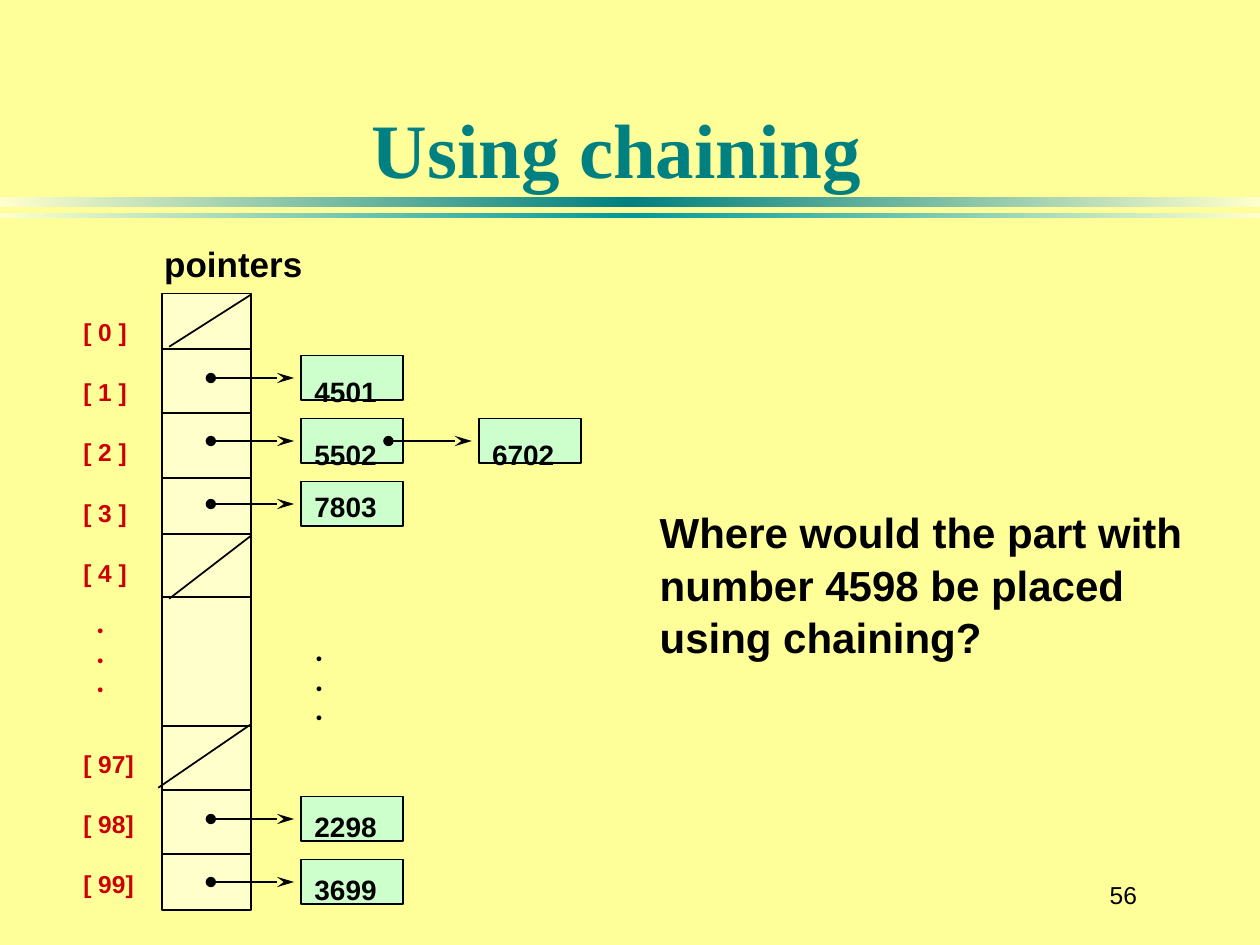
from copy import deepcopy

from lxml.etree import SubElement
from pptx import Presentation
from pptx.dml.color import RGBColor
from pptx.enum.shapes import MSO_CONNECTOR, MSO_SHAPE
from pptx.enum.text import PP_ALIGN
from pptx.oxml.ns import qn
from pptx.util import Cm, Pt

BLACK, RED, TEAL = "000000", "CC0000", "008080"
PALE, MINT = "FFFFCC", "CCFFCC"
STEP = 1.27


def paint(color, code):
    """Set a colour from a hex string."""
    color.rgb = RGBColor.from_string(code)


def write(slide, box, lines, size, code=BLACK, bold=True, font="Arial",
          align=PP_ALIGN.LEFT, gap=0):
    """Place lines of text in a box with no margins."""
    frame = slide.shapes.add_textbox(*map(Cm, box)).text_frame
    frame.word_wrap = True
    frame.margin_left = frame.margin_right = 0
    frame.margin_top = frame.margin_bottom = 0
    for i, line in enumerate(lines):
        para = frame.paragraphs[0] if i == 0 else frame.add_paragraph()
        para.text = line
        para.alignment = align
        para.space_before = Pt(gap if i else 0)
        para.font.name, para.font.size, para.font.bold = font, Pt(size), bold
        paint(para.font.color, code)


def block(slide, box, code):
    """Draw a filled box with a thin black edge."""
    shape = slide.shapes.add_shape(MSO_SHAPE.RECTANGLE, *map(Cm, box))
    shape.shadow.inherit = False
    shape.fill.solid()
    paint(shape.fill.fore_color, code)
    shape.line.width = Pt(1)
    paint(shape.line.color, BLACK)


def stroke(slide, start, end, arrow=False):
    """Draw a line, with a dot and an arrowhead if asked."""
    line = slide.shapes.add_connector(
        MSO_CONNECTOR.STRAIGHT, *map(Cm, (*start, *end)))
    line.line.width = Pt(1)
    paint(line.line.color, BLACK)
    if arrow:
        edge = line.line._get_or_add_ln()
        SubElement(edge, qn("a:headEnd"), type="oval", w="med", len="med")
        SubElement(edge, qn("a:tailEnd"), type="stealth", w="med", len="lg")
    SubElement(line._element.spPr, qn("a:effectLst"))


def band(slide, box, code):
    """Draw a bar that fades out to both sides."""
    bar = slide.shapes.add_shape(MSO_SHAPE.RECTANGLE, *map(Cm, box))
    bar.shadow.inherit = False
    bar.line.fill.background()
    bar.fill.gradient()
    bar.fill.gradient_angle = 0
    first = next(bar._element.spPr.iter(qn("a:gs")))
    first.addnext(deepcopy(first))
    for stop, place, tint in zip(bar.fill.gradient_stops, (0, 0.5, 1),
                                 (PALE, code, PALE)):
        stop.position = place
        paint(stop.color, tint)


def header(slide, box):
    """Place the title and the two bars below it."""
    x, y, w, h = box
    band(slide, (x, y + h, w, 0.2), TEAL)
    band(slide, (x, y + h + 0.33, w, 0.1), "009999")
    write(slide, (x + 0.61, y + 2.05, 23.65, 1.8), ["Using chaining"], 44,
          TEAL, font="Times New Roman", align=PP_ALIGN.CENTER)


def dots(slide, x, y, code):
    """Write three dots down the page."""
    write(slide, (x, y, 0.5, 1.9), ["."] * 3, 14, code, font="Montserrat")


def index(slide, box):
    """Write the slot numbers beside the table."""
    x, y, w, h = box
    write(slide, (x, y, w, 5.4), [f"[ {n} ]" for n in range(5)], 14, RED,
          gap=17.5)
    dots(slide, x + 0.28, y + 5.88, RED)
    write(slide, (x, y + 8.69, w, 3), [f"[ {n}]" for n in (97, 98, 99)], 14,
          RED, gap=17.5)


def table(slide, box):
    """Draw the pointer table, with a slash in each empty slot."""
    x, y, w, h = box
    top = 3.71
    write(slide, (x + 0.05, y - 1.04, 3.3, 0.9), ["pointers"], 20)
    block(slide, (x, y, w, top), PALE)
    block(slide, (x, y + top, w, h - top), PALE)
    for drop in (1.12, 2.41, 4.85, 6.12, 8.71, 10.01, 11.3):
        stroke(slide, (x, y + drop), (x + w, y + drop))
    for left, low, high in ((0.15, 1.07, 0.02), (0.15, 6.15, 4.88),
                            (-0.07, 9.96, 8.68)):
        stroke(slide, (x + left, y + low), (x + w, y + high))


def node(slide, x, mid, value, rise):
    """Draw one node and the arrow that leads to it."""
    block(slide, (x, mid - 0.45, 2.06, 0.89), MINT)
    write(slide, (x + 0.27, mid - rise, 1.75, 0.65), [value], 16)
    stroke(slide, (x - 1.82, mid), (x - 0.14, mid), True)


def chains(slide, box):
    """Place the chained nodes on an even row grid."""
    x, y, w, h = box
    for row, col, value, rise in (
            (0, 0, "4501", 0.07), (1, 0, "5502", 0.07), (1, 1, "6702", 0.07),
            (2, 0, "7803", 0.29), (7, 0, "2298", 0.2), (8, 0, "3699", 0.2)):
        node(slide, x + col * (w - 2.06), y + 0.45 + row * STEP, value, rise)
    dots(slide, x + 0.3, y + 5.68, BLACK)


def main():
    """Build the slide and save it."""
    deck = Presentation()
    deck.slide_width, deck.slide_height = Cm(25.4), Cm(19.05)
    slide = deck.slides.add_slide(deck.slide_layouts[6])
    slide.background.fill.solid()
    paint(slide.background.fill.fore_color, "FFFF99")
    header(slide, (0, 0, 25.4, 3.97))
    index(slide, (1.68, 6.4, 1.4, 11.7))
    table(slide, (3.26, 5.92, 1.8, 12.42))
    chains(slide, (6.07, 7.17, 5.64, 11.05))
    write(slide, (13.3, 10.22, 11.5, 3.1),
          ["Where would the part with", "number 4598 be placed",
           "using chaining?"], 24, gap=1)
    write(slide, (21.22, 17.75, 1.7, 0.6), ["56"], 14, bold=False,
          align=PP_ALIGN.RIGHT)
    deck.save("out.pptx")


if __name__ == "__main__":
    main()
